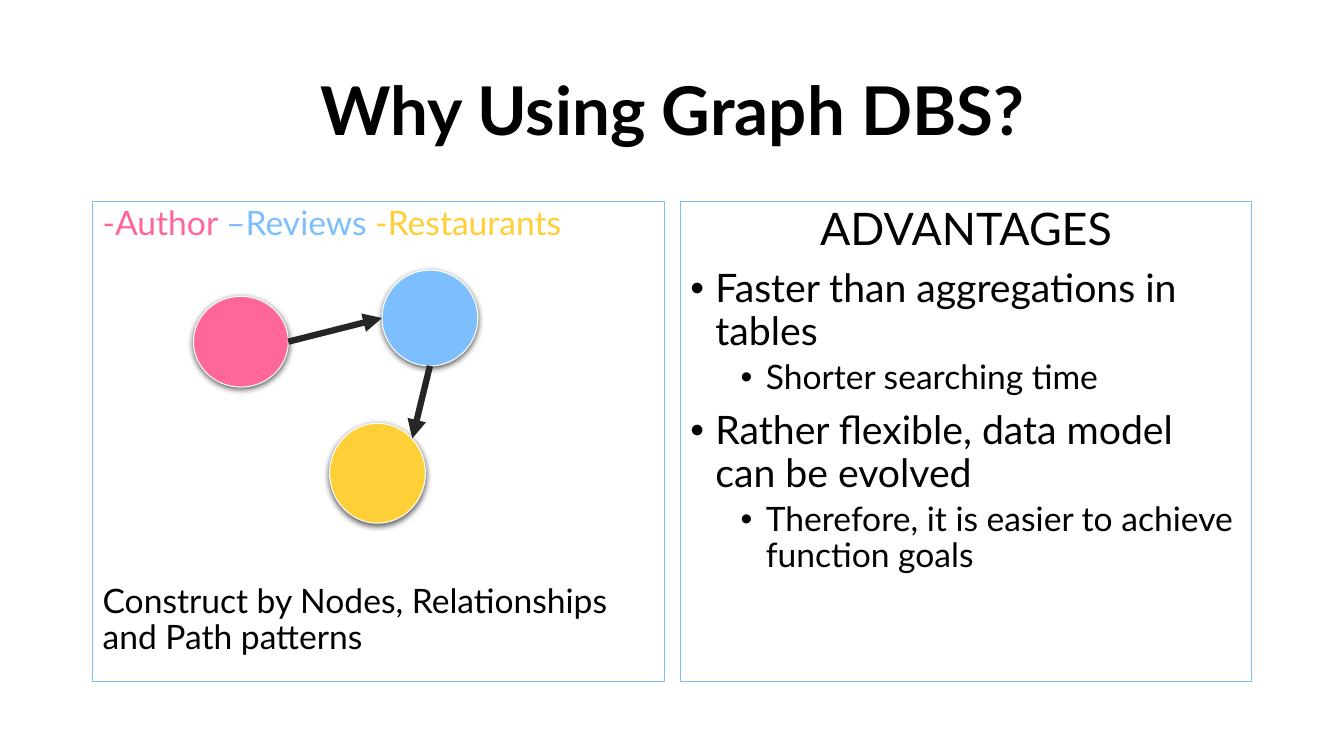
from lxml import etree
from pptx import Presentation
from pptx.dml.color import RGBColor
from pptx.enum import shapes, text
from pptx.oxml import ns
from pptx.util import Pt

PINK, BLUE, GOLD = "FF6699", "7DBEFF", "FFCF37"
BLACK, WHITE, DARK = "000000", "FFFFFF", "262626"
MID = text.PP_ALIGN.CENTER


def rgb(code):
    return RGBColor.from_string(code)


def sub(node, tag, **attrs):
    return etree.SubElement(node, ns.qn(tag), {k: str(v) for k, v in attrs.items()})


class Page:
    face = "Lato"

    def __init__(self, deck):
        self.slide = deck.slides.add_slide(deck.slide_layouts[5])
        self.items = self.slide.shapes

    def style(self, para, size, color=BLACK, bold=False, align=None, before=0):
        para.line_spacing = 0.9
        para.space_before = Pt(before)
        para.alignment = align
        font = para.font
        font.name, font.size, font.bold = self.face, Pt(size), bold
        font.color.rgb = rgb(color)

    def title(self, words, box):
        item = self.items.title
        item.left, item.top, item.width, item.height = map(Pt, box)
        frame = item.text_frame
        frame.text = words
        frame.vertical_anchor = text.MSO_ANCHOR.MIDDLE
        self.style(frame.paragraphs[0], 48, bold=True, align=MID)

    def panel(self, left):
        box = self.items.add_textbox(Pt(left), Pt(144), Pt(408.24), Pt(342.72))
        box.line.color.rgb = rgb(BLUE)
        box.line.width = Pt(0.75)
        box.text_frame.word_wrap = True
        return box.text_frame

    def bullet(self, frame, words, level):
        para = frame.add_paragraph()
        para.text = words
        para.level = level
        props = para._p.get_or_add_pPr()
        props.set("marL", str(Pt(18 + 36 * level)))
        props.set("indent", str(-Pt(18)))
        sub(props, "a:buFont", typeface="Arial")
        sub(props, "a:buChar", char="•")
        self.style(para, 28 - 4 * level, before=10 - 5 * level)

    def node(self, box, color):
        dot = self.items.add_shape(shapes.MSO_SHAPE.OVAL, *map(Pt, box))
        dot.fill.solid()
        dot.fill.fore_color.rgb = rgb(color)
        dot.line.color.rgb = rgb(WHITE)
        dot.line.width = Pt(0.75)
        # Soft shadow straight below
        glow = sub(dot._element.spPr, "a:effectLst")
        cast = sub(glow, "a:outerShdw", blurRad=Pt(4.5), dist=Pt(1.5),
                   dir=5400000, algn="ctr", rotWithShape=0)
        sub(sub(cast, "a:srgbClr", val=BLACK), "a:alpha", val=63000)

    def arrow(self, start, end):
        link = self.items.add_connector(
            shapes.MSO_CONNECTOR.STRAIGHT, *map(Pt, start + end))
        link.line.color.rgb = rgb(DARK)
        link.line.width = Pt(4.5)
        sub(link.line._get_or_add_ln(), "a:tailEnd", type="triangle")
        sub(link._element.spPr, "a:effectLst")


def main():
    deck = Presentation()
    deck.slide_width, deck.slide_height = Pt(960), Pt(540)
    page = Page(deck)
    page.title("Why Using Graph DBS?", (66.24, 28.8, 828, 104.4))

    # Left panel: colour key and caption
    left = page.panel(66.24)
    key = left.paragraphs[0]
    page.style(key, 24)
    for words, color in (("-Author ", PINK), ("–Reviews", BLUE),
                         (" -Restaurants", GOLD)):
        run = key.add_run()
        run.text = words
        run.font.color.rgb = rgb(color)
    caption = left.add_paragraph()
    caption.text = "Construct by Nodes, Relationships and Path patterns"
    page.style(caption, 24, before=244)

    # Right panel: advantages
    right = page.panel(486)
    head = right.paragraphs[0]
    head.text = "ADVANTAGES"
    page.style(head, 32, align=MID)
    for words, level in (
            ("Faster than aggregations in tables", 0),
            ("Shorter searching time", 1),
            ("Rather flexible, data model can be evolved", 0),
            ("Therefore, it is easier to achieve function goals", 1)):
        page.bullet(right, words, level)

    # Graph: author to review to restaurant
    page.node((138.24, 211.68, 67.68, 64.8), PINK)
    page.node((272.88, 192.96, 68.4, 68.4), BLUE)
    page.node((235.44, 302.4, 68.4, 71.28), GOLD)
    page.arrow((205.92, 244.08), (272.88, 227.16))
    page.arrow((307.08, 261.36), (294.48, 313.2))

    deck.save("out.pptx")


if __name__ == "__main__":
    main()
